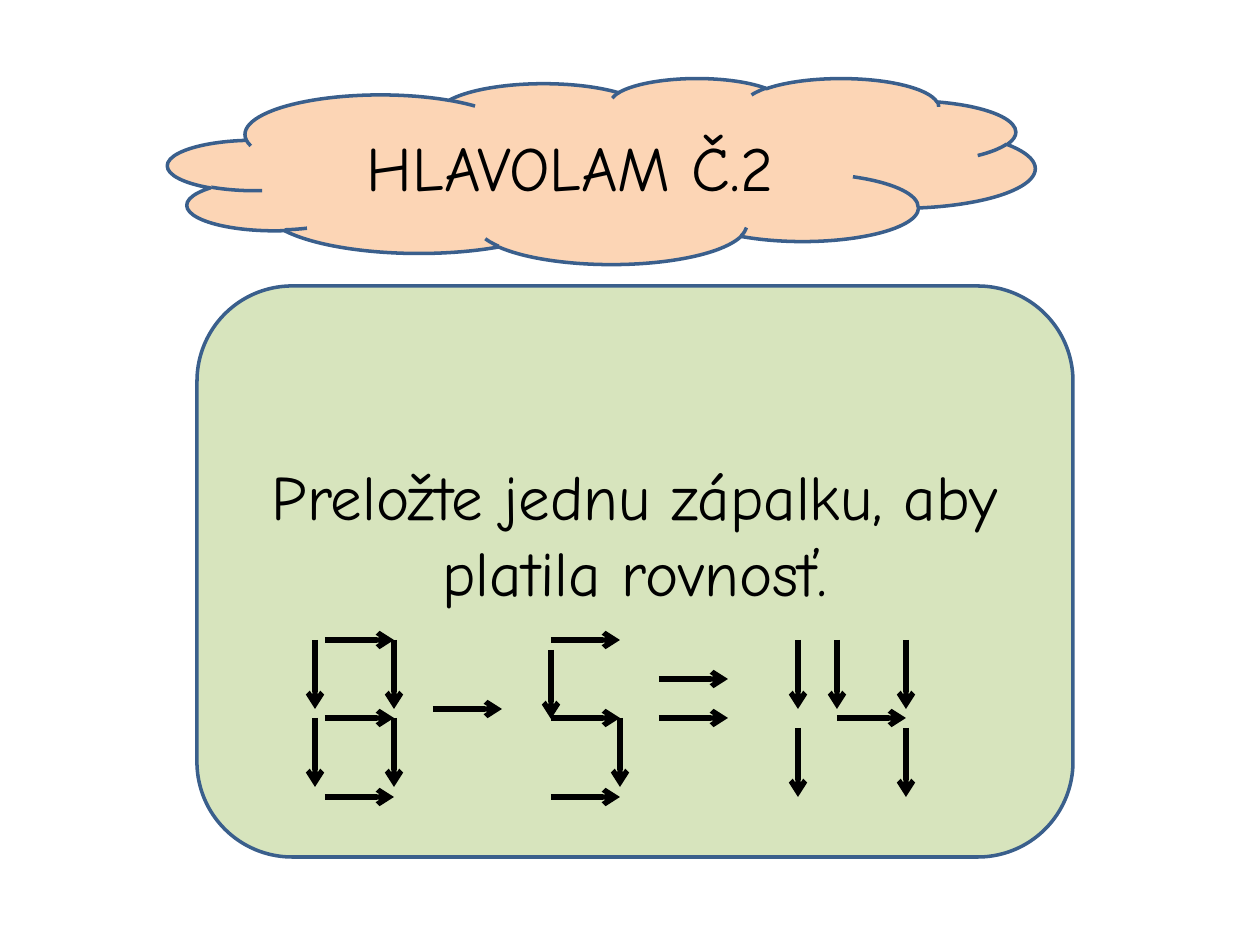
from dataclasses import dataclass
from itertools import product

from lxml.etree import SubElement
from pptx import Presentation
from pptx.dml.color import RGBColor
from pptx.enum.shapes import MSO_CONNECTOR as CONN, MSO_SHAPE as SHAPE
from pptx.enum.text import MSO_ANCHOR as ANCHOR, MSO_AUTO_SIZE as AUTO, PP_ALIGN as ALIGN
from pptx.oxml.ns import qn
from pptx.util import Emu, Pt

COLORS = {"panel": "D7E4BD", "cloud": "FCD5B5", "outline": "3A5F8C", "ink": "000000"}
FONT = "Comic Neue"
PX = 914400 / 126
MATCH = 69  # length of one match


@dataclass(frozen=True)
class Matches:
    """Matches lying the same way, one at each crossing of xs and ys."""
    xs: tuple[int, ...]
    ys: tuple[int, ...]
    down: bool = False


EQUATION = [
    # 8
    Matches((315, 394), (640, 718), down=True),
    Matches((325,), (640, 718, 797)),
    # minus
    Matches((433,), (709,)),
    # 5
    Matches((551,), (650,), down=True),
    Matches((620,), (718,), down=True),
    Matches((551,), (640, 718, 797)),
    # equals
    Matches((659,), (679, 718)),
    # 14
    Matches((798, 906), (640, 728), down=True),
    Matches((837,), (640,), down=True),
    Matches((837,), (718,)),
]


def px(n: int) -> Emu:
    return Emu(round(n * PX))


def rgb(name: str) -> RGBColor:
    return RGBColor.from_string(COLORS[name])


def add_panel(slide, kind, box: tuple[int, ...], fill: str):
    sp = slide.shapes.add_shape(kind, *map(px, box))
    sp.shadow.inherit = False
    sp.fill.solid()
    sp.fill.fore_color.rgb = rgb(fill)
    sp.line.color.rgb = rgb("outline")
    sp.line.width = Pt(2)
    return sp


def write(sp, text: str, size: int = 36, color: str = "ink", bottom: int = 6) -> None:
    tf = sp.text_frame
    tf.word_wrap = True
    tf.auto_size = AUTO.NONE
    tf.vertical_anchor = ANCHOR.MIDDLE
    tf.margin_bottom = px(bottom)
    p = tf.paragraphs[0]
    p.alignment = ALIGN.CENTER
    r = p.add_run()
    r.text = text
    r.font.name = FONT
    r.font.size = Pt(size)
    r.font.color.rgb = rgb(color)


def add_match(slide, x: int, y: int, down: bool) -> None:
    x2, y2 = (x, y + MATCH) if down else (x + MATCH, y)
    line = slide.shapes.add_connector(CONN.STRAIGHT, px(x), px(y), px(x2), px(y2))
    line.line.color.rgb = rgb("ink")
    line.line.width = Pt(3)
    SubElement(line.line._get_or_add_ln(), qn("a:tailEnd"), type="arrow")
    SubElement(line.element.spPr, qn("a:effectLst"))


def main() -> None:
    prs = Presentation()
    prs.slide_width, prs.slide_height = px(1260), px(945)
    slide = prs.slides.add_slide(prs.slide_layouts[5])

    # Task panel, its text raised to leave room for the matches
    panel = add_panel(slide, SHAPE.ROUNDED_RECTANGLE, (197, 286, 876, 571), "panel")
    write(panel, "Preložte jednu zápalku, aby platila rovnosť.", bottom=82)

    # Title in front of its cloud
    add_panel(slide, SHAPE.CLOUD, (168, 78, 867, 186), "cloud")
    title = slide.shapes.title
    title.left, title.top, title.width, title.height = map(px, (287, 106, 566, 121))
    write(title, "HLAVOLAM Č.2")
    title.element.getparent().append(title.element)

    # Equation laid out in matches
    for group in EQUATION:
        for x, y in product(group.xs, group.ys):
            add_match(slide, x, y, group.down)

    prs.save("out.pptx")


if __name__ == "__main__":
    main()
